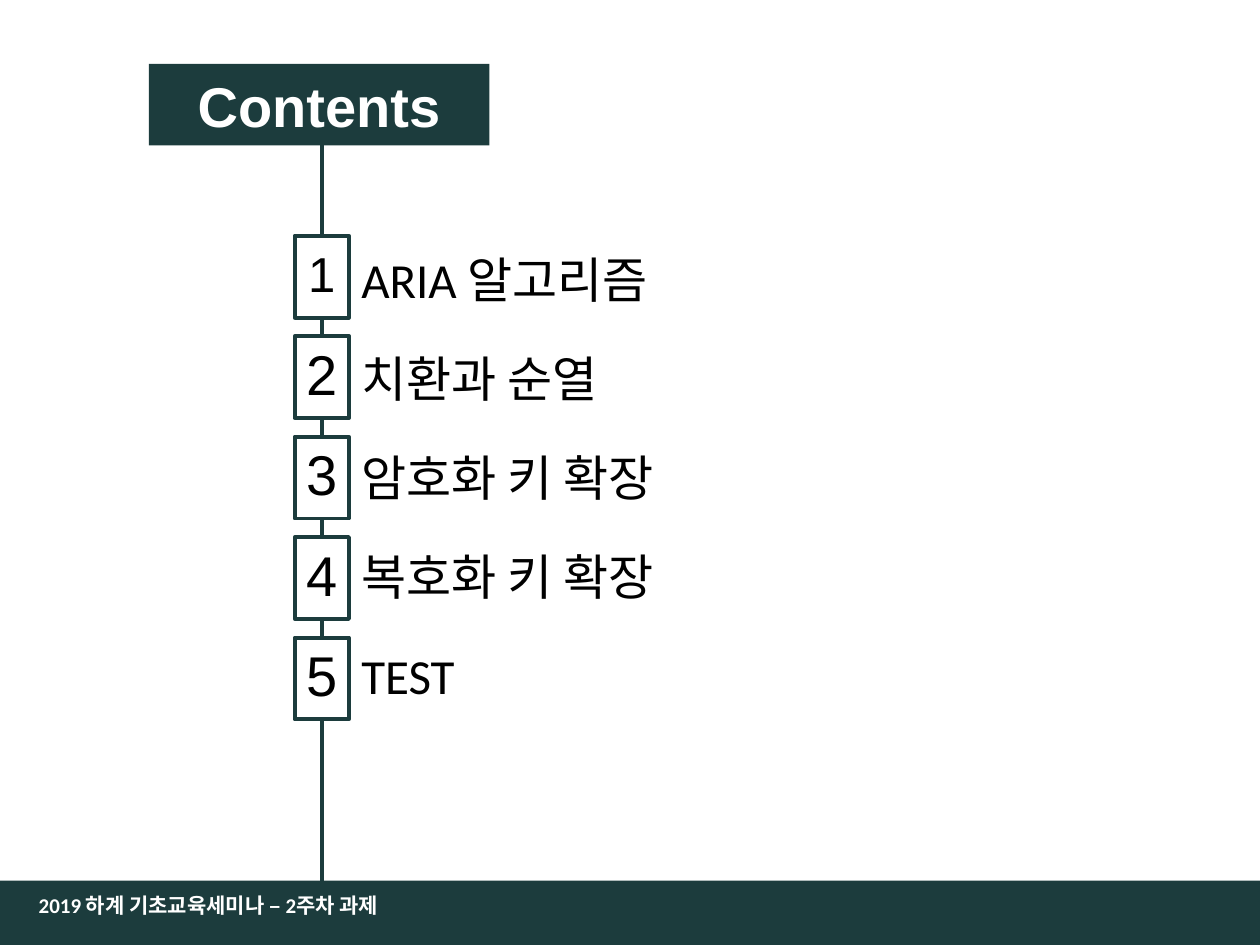
import pptx
import pptx.dml.color
import pptx.enum.shapes
import pptx.enum.text
import pptx.oxml.ns
import pptx.util
from dataclasses import dataclass
from lxml import etree

Pt = pptx.util.Pt
ALIGN = pptx.enum.text.PP_ALIGN
ANCHOR = pptx.enum.text.MSO_ANCHOR


@dataclass(frozen=True)
class Theme:
    dark: str = "1C3C3D"
    light: str = "FFFFFF"
    ink: str = "000000"
    heading_font: str = "Arial"
    body_font: str = "Calibri"
    title_size: float = 32
    number_size: float = 32
    first_number_size: float = 28
    label_size: float = 28
    footer_size: float = 12
    line_width: float = 2.25


THEME = Theme()
TOPICS = ["ARIA 알고리즘", "치환과 순열", "암호화 키 확장", "복호화 키 확장", "TEST"]


def rgb(value):
    return pptx.dml.color.RGBColor.from_string(value)


def write_text(shape, text, *, size, color, font=THEME.body_font, bold=False,
               align=ALIGN.LEFT, anchor=ANCHOR.TOP, side_inset=7.2,
               line_spacing=None, space_before=None):
    frame = shape.text_frame
    frame.word_wrap = True
    frame.vertical_anchor = anchor
    frame.margin_left = frame.margin_right = Pt(side_inset)
    paragraph = frame.paragraphs[0]
    paragraph.alignment = align
    if line_spacing is not None:
        paragraph.line_spacing = line_spacing
    if space_before is not None:
        paragraph.space_before = Pt(space_before)
    run = paragraph.add_run()
    run.text = text
    run.font.size = Pt(size)
    run.font.bold = bold
    run.font.color.rgb = rgb(color)
    run.font.name = font


def add_box(slide, box, fill, line=None):
    shape = slide.shapes.add_shape(
        pptx.enum.shapes.MSO_SHAPE.RECTANGLE, *map(Pt, box))
    shape.shadow.inherit = False
    shape.fill.solid()
    shape.fill.fore_color.rgb = rgb(fill)
    if line:
        shape.line.color.rgb = rgb(line)
        shape.line.width = Pt(THEME.line_width)
    else:
        shape.line.fill.background()
    return shape


def add_label(slide, box, text, **text_format):
    shape = slide.shapes.add_textbox(*map(Pt, box))
    write_text(shape, text, **text_format)


def add_spine(slide, box):
    left, top, width, height = box
    connector = slide.shapes.add_connector(
        pptx.enum.shapes.MSO_CONNECTOR.STRAIGHT,
        Pt(left), Pt(top), Pt(left + width), Pt(top + height))
    connector.line.color.rgb = rgb(THEME.dark)
    connector.line.width = Pt(THEME.line_width)
    properties = connector.element.find(pptx.oxml.ns.qn("p:spPr"))
    etree.SubElement(properties, pptx.oxml.ns.qn("a:effectLst"))


def add_title(slide, box):
    banner = add_box(slide, box, THEME.dark)
    write_text(banner, "Contents", size=THEME.title_size, color=THEME.light,
               font=THEME.heading_font, bold=True, align=ALIGN.CENTER,
               anchor=ANCHOR.MIDDLE)


def add_topics(slide, box):
    left, top, width, height = box
    number_width, row_height = 31, 46.8
    number_pitch = (height - row_height) / (len(TOPICS) - 1)
    label_offset, label_pitch = 4.2, 56.6
    for index, topic in enumerate(TOPICS):
        # Numbered square
        number = add_box(
            slide, (left, top + index * number_pitch, number_width, row_height),
            THEME.light, THEME.dark)
        size = THEME.number_size if index else THEME.first_number_size
        write_text(number, str(index + 1), size=size, color=THEME.ink,
                   font=THEME.heading_font, align=ALIGN.CENTER,
                   anchor=ANCHOR.MIDDLE, side_inset=0,
                   line_spacing=0.9, space_before=10)
        # Topic name beside it
        add_label(
            slide, (left + number_width, top + label_offset + index * label_pitch,
                    width - number_width, row_height),
            topic, size=THEME.label_size, color=THEME.ink)


def add_footer(slide, box):
    left, top, width, height = box
    add_box(slide, box, THEME.dark)
    add_label(slide, (left + 15, top - 0.6, 589, 28.8),
              "2019 하계 기초교육세미나 – 2주차 과제", size=THEME.footer_size,
              color=THEME.light, bold=True, anchor=ANCHOR.MIDDLE)


def main():
    presentation = pptx.Presentation()
    presentation.slide_width = Pt(720)
    presentation.slide_height = Pt(540)
    slide = presentation.slides.add_slide(presentation.slide_layouts[6])
    add_spine(slide, (184.2, 54, 0, 460.8))
    add_footer(slide, (0, 503.2, 720, 36.8))
    add_title(slide, (85, 36.6, 194.6, 46.6))
    add_topics(slide, (168.4, 134.7, 307.5, 276.4))
    presentation.save("out.pptx")


if __name__ == "__main__":
    main()
